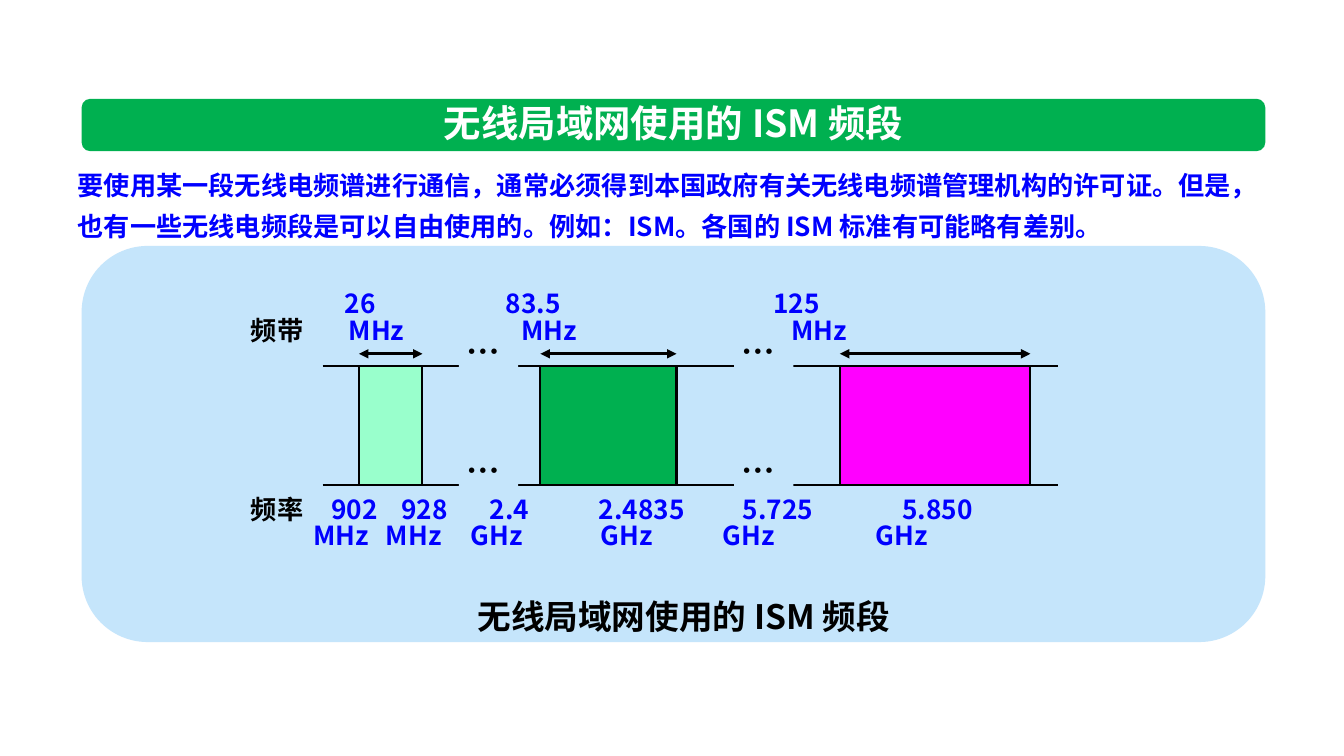
"""Build the slide on the ISM frequency bands used by wireless LANs."""
import dataclasses
import itertools
import typing

import lxml.etree
import pptx
import pptx.dml.color
import pptx.enum.shapes
import pptx.enum.text
import pptx.oxml.ns
import pptx.util

Inches = pptx.util.Inches
Shape = pptx.enum.shapes.MSO_SHAPE
Align = pptx.enum.text.PP_ALIGN
Anchor = pptx.enum.text.MSO_ANCHOR
COLORS = {
    "panel": "C5E5FB", "green": "00B050", "mint": "99FFCC", "magenta": "FF00FF",
    "blue": "0000FF", "black": "000000", "white": "FFFFFF",
}
FONT = "Noto Sans CJK SC"
HEADING = "无线局域网使用的 ISM 频段"
INTRODUCTION = (
    "要使用某一段无线电频谱进行通信，通常必须得到本国政府有关无线电频谱管理机构的许可证。"
    "但是，也有一些无线电频段是可以自由使用的。例如：ISM。各国的 ISM 标准有可能略有差别。"
)
AXIS_LEFT, AXIS_RIGHT = 3.2, 10.49
AXIS_TOP, AXIS_BOTTOM = 3.63, 4.81
ARROW_Y = 3.51
LABEL_LEFT, LABEL_WIDTH, LABEL_HEIGHT = 2.39, 8.4, 0.64


@dataclasses.dataclass
class Band:
    """A frequency band drawn between the two axes."""
    left: float
    width: float
    color: str


@dataclasses.dataclass
class Row:
    """A line of labels, each starting at its own tab stop."""
    name: str
    labels: list[str]
    stops: list[float]


@dataclasses.dataclass
class Style:
    """The look of a paragraph."""
    size: float
    color: str
    align: typing.Any = Align.LEFT
    spacing: typing.Any = None


BANDS = [Band(3.56, 0.63, "mint"), Band(5.36, 1.35, "green"), Band(8.33, 1.89, "magenta")]
LABEL_STYLE = Style(18.7, "blue", spacing=0.85)
WIDTH_ROWS = [
    Row("", ["26", "83.5", "125"], [0.93, 2.53, 5.18]),
    Row("频带", ["MHz"] * 3, [0.97, 2.68, 5.36]),
]
FREQUENCY_ROWS = [
    Row("频率", ["902", "928", "2.4", "2.4835", "5.725", "5.850"],
        [0.8, 1.49, 2.37, 3.45, 4.88, 6.46]),
    Row("", ["MHz"] * 2 + ["GHz"] * 4, [0.62, 1.34, 2.18, 3.47, 4.68, 6.2]),
]


def rgb(color: str) -> pptx.dml.color.RGBColor:
    """Return the named colour."""
    return pptx.dml.color.RGBColor.from_string(COLORS[color])


def apply(target: typing.Any, values: dict) -> None:
    """Set every attribute in values on the target."""
    for name, value in values.items():
        setattr(target, name, value)


def add_element(parent: typing.Any, tag: str, **attributes: str) -> typing.Any:
    """Append a drawing element to the parent."""
    return lxml.etree.SubElement(parent, pptx.oxml.ns.qn(tag), attributes)


def place(box: typing.Any, left: float, top: float, width: float, height: float) -> None:
    """Move and size a box, given in inches."""
    names = ("left", "top", "width", "height")
    apply(box, dict(zip(names, map(Inches, (left, top, width, height)))))


def add_span(para: typing.Any, text: str, size: float, color: str) -> None:
    """Add a bold span of text."""
    span = para.add_run()
    span.text = text
    apply(span.font, {"size": pptx.util.Pt(size), "bold": True, "name": FONT})
    span.font.color.rgb = rgb(color)
    add_element(span.font._element, "a:ea", typeface=FONT)


def write(box: typing.Any, text: str, style: Style, anchor: typing.Any = Anchor.MIDDLE,
          wrap: bool = True) -> typing.Any:
    """Fill a box with one paragraph and return it."""
    apply(box.text_frame, {"word_wrap": wrap, "vertical_anchor": anchor,
                           "auto_size": pptx.enum.text.MSO_AUTO_SIZE.NONE})
    para = box.text_frame.paragraphs[0]
    apply(para, {"alignment": style.align, "line_spacing": style.spacing})
    add_span(para, text, style.size, style.color)
    return para


def add_text(page: typing.Any, frame: tuple, text: str, style: Style, wrap: bool = True) -> None:
    """Add a text box with one paragraph."""
    write(page.shapes.add_textbox(*map(Inches, frame)), text, style, wrap=wrap)


def add_shape(page: typing.Any, kind: typing.Any, frame: tuple, color: str,
              outlined: bool = False) -> typing.Any:
    """Add a filled shape, with a black outline if asked for."""
    shape = page.shapes.add_shape(kind, *map(Inches, frame))
    shape.shadow.inherit = False
    shape.fill.solid()
    shape.fill.fore_color.rgb = rgb(color)
    if outlined:
        shape.line.color.rgb = rgb("black")
        shape.line.width = pptx.util.Pt(1.5)
    else:
        shape.line.fill.background()
    return shape


def add_line(page: typing.Any, left: float, right: float, y: float, width: float,
             arrows: bool = False) -> None:
    """Add a horizontal line, with arrowheads at both ends if asked for."""
    line = page.shapes.add_connector(
        pptx.enum.shapes.MSO_CONNECTOR.STRAIGHT, *map(Inches, (left, y, right, y)))
    line.line.color.rgb = rgb("black")
    line.line.width = pptx.util.Pt(width)
    if arrows:
        for tag in ("a:headEnd", "a:tailEnd"):
            add_element(line.line._ln, tag, type="triangle")
    add_element(line._element.spPr, "a:effectLst")


def add_rows(page: typing.Any, top: float, rows: list[Row]) -> None:
    """Add a text box with rows of labels at tab stops."""
    box = page.shapes.add_textbox(*map(Inches, (LABEL_LEFT, top, LABEL_WIDTH, LABEL_HEIGHT)))
    box.text_frame.word_wrap = True
    for index, row in enumerate(rows):
        para = box.text_frame.add_paragraph() if index else box.text_frame.paragraphs[0]
        para.line_spacing = LABEL_STYLE.spacing
        tabs = add_element(para._p.get_or_add_pPr(), "a:tabLst")
        for stop in row.stops:
            add_element(tabs, "a:tab", pos=str(Inches(stop)), algn="l")
        if row.name:
            add_span(para, row.name, LABEL_STYLE.size, "black")
        labels = "".join("\t" + label for label in row.labels)
        add_span(para, labels, LABEL_STYLE.size, LABEL_STYLE.color)


def add_header(page: typing.Any) -> None:
    """Fill the title and body placeholders over the panel and the bar."""
    title, body = page.placeholders
    panel = add_shape(page, Shape.ROUNDED_RECTANGLE, (0.81, 2.44, 11.74, 3.93), "panel")
    bar = add_shape(page, Shape.ROUNDED_RECTANGLE, (0.81, 0.98, 11.74, 0.52), "green")
    for shape in (panel, bar):
        title._element.addprevious(shape._element)
    place(title, 4.12, 0.94, 5.12, 0.55)
    write(title, HEADING, Style(26.7, "white", Align.CENTER), wrap=False)
    place(body, 0.67, 1.53, 12, 0.87)
    para = write(body, INTRODUCTION, Style(18.7, "blue", spacing=pptx.util.Pt(29.3)), Anchor.TOP)
    para.space_before = pptx.util.Pt(0)
    properties = para._p.get_or_add_pPr()
    for name in ("marL", "indent"):
        properties.set(name, "0")
    add_element(properties, "a:buNone")


def add_diagram(page: typing.Any) -> None:
    """Draw the bands, their axes, breaks and labels."""
    add_rows(page, 2.85, WIDTH_ROWS)
    add_rows(page, 4.89, FREQUENCY_ROWS)
    for y in (AXIS_TOP, AXIS_BOTTOM):
        add_line(page, AXIS_LEFT, AXIS_RIGHT, y, 1.5)
    for band in BANDS:
        frame = (band.left, AXIS_TOP, band.width, AXIS_BOTTOM - AXIS_TOP)
        add_shape(page, Shape.RECTANGLE, frame, band.color, outlined=True)
        add_line(page, band.left, band.left + band.width, ARROW_Y, 2.25, arrows=True)
    for left, y in itertools.product((4.55, 7.28), (AXIS_BOTTOM, AXIS_TOP)):
        add_shape(page, Shape.RECTANGLE, (left, y - 0.13, 0.59, 0.22), "panel")
        add_text(page, (left - 0.02, y - 0.4, 0.54, 0.5), "…", Style(24, "black"), wrap=False)


def main() -> None:
    """Build and save the deck."""
    deck = pptx.Presentation()
    apply(deck, {"slide_width": Inches(13.33), "slide_height": Inches(7.5)})
    page = deck.slides.add_slide(deck.slide_layouts[1])
    add_header(page)
    add_text(page, (3.92, 5.86, 5.72, 0.5), HEADING, Style(24, "black", Align.CENTER))
    add_diagram(page)
    deck.save("out.pptx")


if __name__ == "__main__":
    main()
